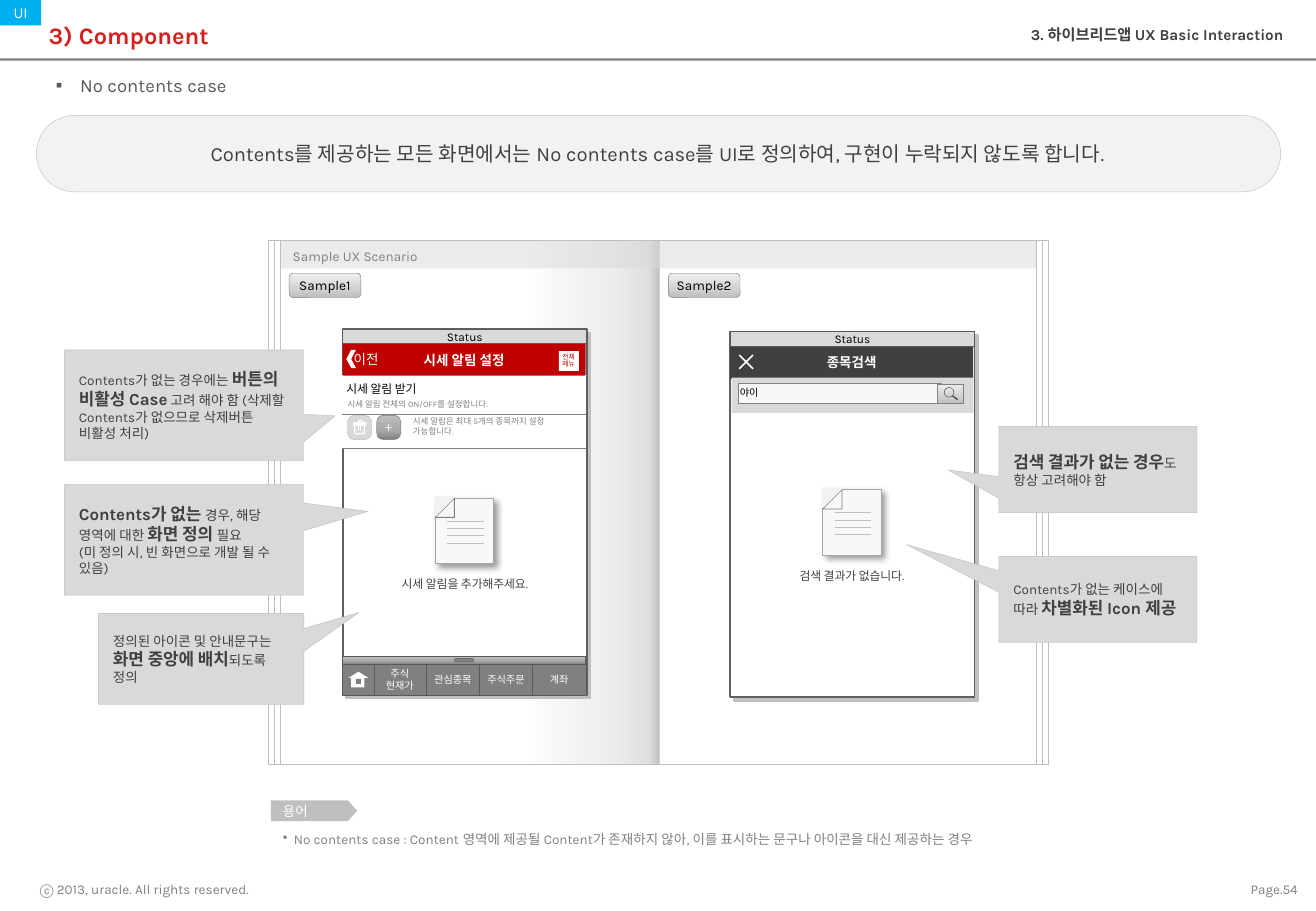
from lxml.etree import SubElement
from pptx import Presentation
from pptx.dml.color import RGBColor
from pptx.enum.shapes import MSO_CONNECTOR, MSO_SHAPE
from pptx.enum.text import MSO_ANCHOR, MSO_AUTO_SIZE, PP_ALIGN
from pptx.oxml.ns import qn
from pptx.util import Inches, Pt

FONT = "Karla"
COLORS = {
    "white": "FFFFFF", "black": "000000", "ink": "404040", "slate": "595959",
    "frame": "606060", "grey": "808080", "mid": "A6A6A6", "edge": "BFBFBF",
    "light": "D9D9D9", "pale": "F2F2F2", "paper": "F8F8F8",
    "title": "D5211D", "red": "C00000", "blue": "00B0F0",
}
ALIGN = {"l": PP_ALIGN.LEFT, "c": PP_ALIGN.CENTER, "r": PP_ALIGN.RIGHT}
ANCHOR = {"t": MSO_ANCHOR.TOP, "m": MSO_ANCHOR.MIDDLE}
SHAPE = MSO_SHAPE
# Gradients: angle, opacity in percent, then (position, colour) stops
DARK = (270, 100, [(0, "808080"), (35, "A6A6A6"), (100, "BFBFBF")])
BUTTON = (270, 100, [(0, "BDBDBD"), (35, "D1D1D1"), (100, "EEEEEE")])
FOLD = (180, 50, [(0, "808080"), (3, "BFBFBF"), (11, "D9D9D9"), (35, "FFFFFF")])


def rgb(name):
    return RGBColor.from_string(COLORS[name])


def add_color(parent, value, alpha=100):
    clr = SubElement(parent, qn("a:srgbClr"), val=value)
    SubElement(clr, qn("a:alpha"), val=str(alpha * 1000))


def write(tf, text, size=8, color="ink", bold=False, align="l", anchor="m", wrap=True,
          inset=(0.1, 0.05, 0.1, 0.05), bullet=None, indent=0.0, spacing=None, font=FONT):
    """Fill a text frame; newlines part paragraphs, *...* is bold at 10 pt."""
    tf.auto_size = MSO_AUTO_SIZE.NONE
    tf.word_wrap = wrap
    tf.vertical_anchor = ANCHOR[anchor]
    tf.margin_left, tf.margin_top, tf.margin_right, tf.margin_bottom = map(Inches, inset)
    for i, line in enumerate(text.split("\n")):
        p = tf.paragraphs[0] if i == 0 else tf.add_paragraph()
        p.alignment = ALIGN[align]
        p.space_before = Pt(0)
        if spacing:
            p.line_spacing = spacing
        pPr = p._p.get_or_add_pPr()
        pPr.set("marL", str(Inches(indent)))
        pPr.set("indent", str(-Inches(indent)))
        if bullet:
            SubElement(pPr, qn("a:buChar"), char=bullet)
        else:
            SubElement(pPr, qn("a:buNone"))
        for j, part in enumerate(line.split("*")):
            if part:
                r = p.add_run()
                r.text = part
                r.font.name = font
                r.font.size = Pt(10 if j % 2 else size)
                r.font.bold = bool(bold or j % 2)
                r.font.color.rgb = rgb(color)


class Canvas:
    """Holds the current slide and draws each kind of element on it."""

    def __init__(self, slide):
        self.slide = slide
        self.shapes = slide.shapes

    def shape(self, kind, x, y, w, h, fill=None, line=None, width=0.25, adj=(),
              rot=0, alpha=100, shadow=None, text=None, **fmt):
        sp = self.shapes.add_shape(kind, Inches(x), Inches(y), Inches(w), Inches(h))
        sp.shadow.inherit = False
        sp.rotation = rot
        for i, value in enumerate(adj):
            sp.adjustments[i] = value
        spPr = sp._element.spPr
        if isinstance(fill, tuple):
            self.gradient(sp, *fill)
        elif fill:
            sp.fill.solid()
            sp.fill.fore_color.rgb = rgb(fill)
            if alpha < 100:
                clr = spPr.find(qn("a:solidFill"))[0]
                SubElement(clr, qn("a:alpha"), val=str(alpha * 1000))
        else:
            sp.fill.background()
        if line:
            sp.line.color.rgb = rgb(line)
            sp.line.width = Pt(width)
        else:
            sp.line.fill.background()
        if shadow:
            color, opacity, blur, dist = shadow
            sh = SubElement(spPr.find(qn("a:effectLst")), qn("a:outerShdw"), blurRad=str(Pt(blur)),
                            dist=str(Pt(dist)), dir="2700000", algn="tl", rotWithShape="0")
            add_color(sh, COLORS[color], opacity)
        if text:
            write(sp.text_frame, text, **fmt)
        return sp

    def rect(self, *box, **fmt):
        return self.shape(SHAPE.RECTANGLE, *box, **fmt)

    def rounded(self, *box, adj=0.0, **fmt):
        return self.shape(SHAPE.ROUNDED_RECTANGLE, *box, adj=(adj,), **fmt)

    def gradient(self, sp, angle, alpha, stops):
        sp.fill.gradient()
        grad = sp._element.spPr.find(qn("a:gradFill"))
        grad.clear()
        gs_list = SubElement(grad, qn("a:gsLst"))
        for pos, color in stops:
            add_color(SubElement(gs_list, qn("a:gs"), pos=str(pos * 1000)), color, alpha)
        SubElement(grad, qn("a:lin"), ang=str(angle * 60000), scaled="0")

    def line(self, x1, y1, x2, y2, color, width):
        ln = self.shapes.add_connector(MSO_CONNECTOR.STRAIGHT, *map(Inches, (x1, y1, x2, y2)))
        ln.line.color.rgb = rgb(color)
        ln.line.width = Pt(width)
        SubElement(ln._element.spPr, qn("a:effectLst"))

    def text(self, x, y, w, h, text, **fmt):
        tb = self.shapes.add_textbox(Inches(x), Inches(y), Inches(w), Inches(h))
        write(tb.text_frame, text, **fmt)

    def placeholder(self, idx, x, y, w, h, text, **fmt):
        ph = self.slide.placeholders[idx]
        ph.left, ph.top, ph.width, ph.height = map(Inches, (x, y, w, h))
        write(ph.text_frame, text, **fmt)

    def callout(self, x, y, w, h, adj, text):
        self.shape(SHAPE.RECTANGULAR_CALLOUT, x, y, w, h, fill="light", line="edge", adj=adj,
                   text=text, inset=(0.12, 0.05, 0.12, 0.05))

    def phone(self, x, y, title, color):
        self.rect(x, y, 2.01, 3.01, fill="white", line="frame", width=1, shadow=("edge", 100, 0, 3))
        self.rect(x, y + 0.12, 2, 0.27, fill=color, text=title, color="white", bold=True, align="c")
        self.rect(x, y, 2.01, 0.12, fill="light", line="slate", width=0.75, text="Status",
                  size=7, color="black", align="c", wrap=False)

    def page_icon(self, x, y):
        self.rounded(x, y, 0.48, 0.54, fill="paper", line="mid", width=0.5, shadow=("black", 40, 4, 3))
        self.shape(SHAPE.RIGHT_TRIANGLE, x, y, 0.16, 0.16, rot=270, fill="paper", line="grey", width=0.5)
        self.shape(SHAPE.RIGHT_TRIANGLE, x, y - 0.01, 0.16, 0.16, rot=90, fill="pale", line="pale", width=0.75)
        for i in range(4):
            row = y + 0.19 + 0.06 * i
            self.line(x + 0.1, row, x + 0.4, row, "edge", 0.25)

    def settings_table(self, x, y, w, row_h, rows):
        """One column; each row is a list of (text, size, colour, indent)."""
        table = self.shapes.add_table(len(rows), 1, Inches(x), Inches(y),
                                      Inches(w), Inches(row_h * len(rows))).table
        table.first_row = table.horz_banding = False
        for i, lines in enumerate(rows):
            table.rows[i].height = Inches(row_h)
            cell = table.cell(i, 0)
            cell.margin_left = cell.margin_right = 0
            cell.margin_top = cell.margin_bottom = Inches(0.04)
            cell.vertical_anchor = MSO_ANCHOR.MIDDLE
            tcPr = cell._tc.get_or_add_tcPr()
            for side in ("a:lnT", "a:lnB"):
                ln = SubElement(tcPr, qn(side), w=str(Pt(0.25)))
                add_color(SubElement(ln, qn("a:solidFill")), COLORS["grey"])
            cell.fill.solid()
            cell.fill.fore_color.rgb = rgb("white")
            tf = cell.text_frame
            for j, (text, size, color, indent) in enumerate(lines):
                p = tf.paragraphs[0] if j == 0 else tf.add_paragraph()
                p._p.get_or_add_pPr().set("marL", str(Inches(indent)))
                r = p.add_run()
                r.text = text
                r.font.name, r.font.size, r.font.color.rgb = FONT, Pt(size), rgb(color)
            if not lines:
                tf.paragraphs[0]._p.get_or_add_endParaRPr().set("sz", "700")


def draw_frame(c):
    c.rect(0, 0.48, 10.83, 0.02, fill="grey")
    c.text(10.18, 7.21, 0.6, 0.22, "Page.54", color="grey", align="r", wrap=False)
    c.text(0.06, 7.21, 2.09, 0.22, "ⓒ 2013, uracle. All rights reserved.", color="grey", align="r", wrap=False)
    c.rect(2.31, 1.98, 3.12, 4.31, fill=FOLD)
    c.rect(2.31, 1.98, 6.22, 0.23, fill="light", alpha=50, text="Sample UX Scenario", color="grey", spacing=1.2)
    for i in range(3):
        c.rect(2.31 - 0.05 * i, 1.98, 6.22 + 0.1 * i, 4.31, line="edge")
    banner = c.rounded(0.3, 0.95, 10.24, 0.63, adj=0.5, fill="pale", line="edge")
    c.shapes._spTree.insert(2, banner._element)
    c.rect(0, 0, 0.34, 0.21, fill="blue", text="UI", size=9, color="white", align="c",
           wrap=False, inset=(0.1, 0, 0.1, 0))
    c.placeholder(0, 0.3, 0.08, 10.33, 0.41, "3) Component", size=14, color="title", bold=True)
    c.placeholder(1, 6.88, 0.16, 3.78, 0.28, "3. 하이브리드앱 UX Basic Interaction",
                  size=9, bold=True, align="r", anchor="t")
    c.placeholder(2, 0.36, 0.56, 9.39, 0.28, "No contents case", size=11, color="slate", bullet="▪", indent=0.2)
    c.placeholder(3, 0.51, 1.03, 9.8, 0.47, "Contents를 제공하는 모든 화면에서는 No contents case를 UI로 정의하여, "
                  "구현이 누락되지 않도록 합니다.", size=12, align="c")
    for x, label in ((2.38, "Sample1"), (5.5, "Sample2")):
        c.rounded(x, 2.25, 0.59, 0.2, adj=0.17, fill=BUTTON, line="grey", text=label,
                  color="black", align="c", wrap=False, inset=(0.04,) * 4)


def draw_alert_screen(c):
    c.phone(2.82, 2.71, "시세 알림 설정", "red")
    c.rounded(4.6, 2.89, 0.16, 0.16, fill="white", line="white", text="전체\n메뉴", size=4,
              color="red", align="c", wrap=False, spacing=0.9)
    c.text(2.79, 2.85, 0.47, 0.21, "이전", color="white", inset=(0.12, 0, 0, 0), font="Arial")
    c.shape(SHAPE.CHEVRON, 2.85, 2.88, 0.08, 0.15, rot=180, fill="white")
    c.settings_table(2.82, 3.09, 2, 0.28, [
        [("시세 알림 받기", 7, "black", 0.03), ("시세 알림 전체의 ON/OFF를 설정합니다.", 5, "grey", 0.04)], []])
    c.rounded(3.1, 3.42, 0.2, 0.2, adj=0.29, fill=DARK, line="grey", text="+", color="white",
              align="c", wrap=False, spacing=0.9, inset=(0, 0.05, 0, 0.05))
    c.rounded(2.86, 3.42, 0.2, 0.2, adj=0.29, fill="light", line="edge")
    for box, fill in (((2.92, 3.48, 0.08, 0.09), None), ((2.91, 3.48, 0.1, 0.02), "white"),
                      ((2.95, 3.46, 0.03, 0.02), None)):
        c.rounded(*box, adj=0.17, fill=fill, line="white", width=0.75)
    for x in (2.95, 2.97):
        c.line(x, 3.51, x, 3.55, "white", 0.75)
    c.text(3.3, 3.38, 1.54, 0.27, "시세 알림은 최대 5개의 종목까지 설정 가능합니다.", size=5, color="grey", anchor="t")
    c.page_icon(3.58, 4.1)
    c.text(3.14, 4.7, 1.37, 0.22, "시세 알림을 추가해주세요.", size=7, align="c", anchor="t", wrap=False)
    c.rect(2.82, 5.4, 2, 0.07, fill=DARK, line="slate")
    c.rounded(3.74, 5.42, 0.16, 0.03, adj=0.5, fill="grey", line="slate")
    for i, label in enumerate(("주식\n현재가", "관심종목", "주식주문", "계좌")):
        c.rect(3.07 + 0.437 * i, 5.47, 0.44, 0.25, fill="grey", line="slate", text=label, size=6,
               color="white", align="c", wrap=False, inset=(0,) * 4)
    c.rect(2.82, 5.47, 0.26, 0.25, fill="grey", line="slate")
    c.shape(SHAPE.ISOSCELES_TRIANGLE, 2.87, 5.53, 0.16, 0.05, fill="white")
    c.rect(2.89, 5.58, 0.11, 0.08, fill="white")
    c.rect(2.93, 5.59, 0.04, 0.04, fill="grey")


def draw_search_screen(c):
    c.phone(6.01, 2.73, "종목검색", "ink")
    c.shape(SHAPE.CROSS, 6.06, 2.9, 0.16, 0.16, rot=45, adj=(0.46,), fill="white")
    c.rect(6.02, 3.11, 1.99, 0.29, fill="light")
    c.rounded(6.08, 3.16, 1.67, 0.16, fill="paper", line="grey", width=0.5)
    c.text(5.99, 3.13, 0.37, 0.2, "야이", size=6, color="black", anchor="t", wrap=False)
    c.rounded(7.71, 3.16, 0.22, 0.16, fill=BUTTON, line="grey")
    c.shape(SHAPE.OVAL, 7.77, 3.19, 0.08, 0.08, line="ink")
    c.line(7.84, 3.26, 7.88, 3.29, "ink", 0.75)
    c.page_icon(6.77, 4.03)
    c.text(6.42, 4.63, 1.18, 0.22, "검색 결과가 없습니다.", size=7, align="c", anchor="t", wrap=False)


def draw_notes(c):
    c.callout(0.53, 2.88, 1.97, 0.91, (0.631, 0.098),
              "Contents가 없는 경우에는 *버튼의 비활성 Case* 고려 해야 함 (삭제할 Contents가 없으므로 삭제버튼 비활성 처리)")
    c.callout(0.53, 3.99, 1.97, 0.91, (0.769, -0.258),
              "*Contents가 없는 *경우, 해당 영역에 대한 *화면 정의 *필요\n(미 정의 시, 빈 화면으로 개발 될 수 있음)")
    c.callout(0.81, 5.05, 1.69, 0.75, (0.769, -0.511), "정의된 아이콘 및 안내문구는\n*화면 중앙에 배치*되도록 정의")
    c.callout(8.22, 3.51, 1.63, 0.71, (-0.756, 0.006), "*검색 결과가 없는 경우*도 항상 고려해야 함")
    c.callout(8.22, 4.58, 1.63, 0.71, (-0.966, -0.636), "Contents가 없는 케이스에 따라 *차별화된 Icon 제공*")
    c.shape(SHAPE.RIGHT_ARROW, 2.23, 6.59, 0.71, 0.17, adj=(1, 0.45), fill="edge", text="용어", color="white")
    c.text(2.23, 6.77, 6.38, 0.26, "No contents case : Content 영역에 제공될 Content가 존재하지 않아, 이를 표시하는 "
           "문구나 아이콘을 대신 제공하는 경우", color="grey", anchor="t", bullet="•", indent=0.09, spacing=1.2)


def main():
    prs = Presentation()
    prs.slide_width, prs.slide_height = Inches(10.83), Inches(7.5)
    s = prs.slides.add_slide(prs.slide_layouts.get_by_name("Comparison"))
    spare = s.placeholders[4]._element
    spare.getparent().remove(spare)
    c = Canvas(s)
    for draw in (draw_frame, draw_alert_screen, draw_search_screen, draw_notes):
        draw(c)
    prs.save("out.pptx")


if __name__ == "__main__":
    main()
